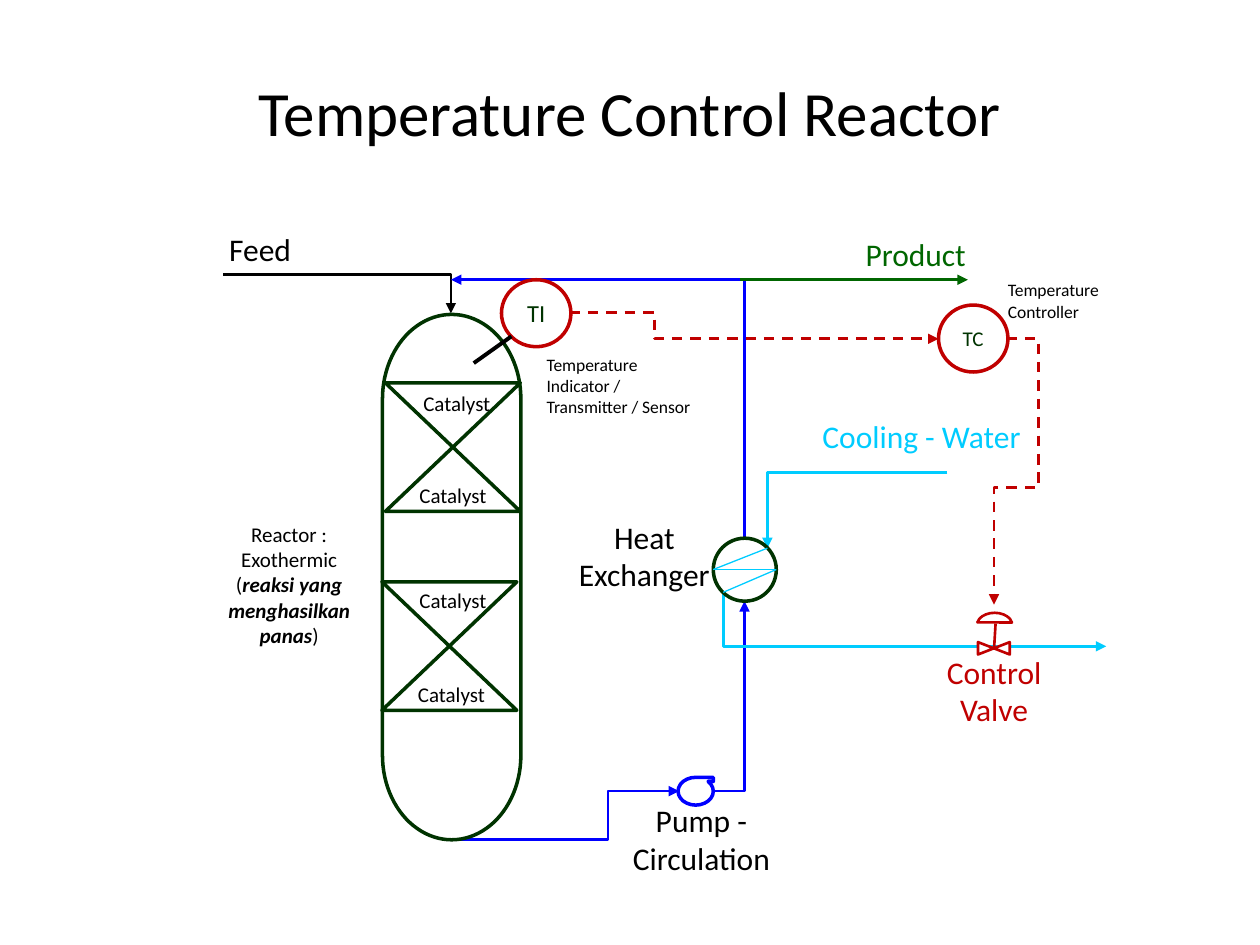
from math import cos, radians, sin

from lxml.etree import SubElement
from pptx import Presentation
from pptx.dml.color import RGBColor
from pptx.enum.dml import MSO_LINE
from pptx.enum.shapes import MSO_CONNECTOR, MSO_SHAPE
from pptx.enum.text import MSO_ANCHOR, MSO_AUTO_SIZE, PP_ALIGN
from pptx.oxml.ns import qn
from pptx.util import Cm, Pt

BLACK, BLUE, CYAN = "000000", "0000FF", "00CCFF"
RED, GREEN, DARK_GREEN = "C00000", "006600", "003300"
color = RGBColor.from_string

presentation = Presentation()
presentation.slide_width, presentation.slide_height = Cm(25.4), Cm(19.05)
slide = presentation.slides.add_slide(presentation.slide_layouts[6])


def add_line(start, end, hex_color, weight=1.5, bends=0, rotation=0,
             adjust=(), dashed=False, arrow=True):
    """Draw a line or elbow; its frame is turned back by the rotation."""
    (x1, y1), (x2, y2) = start, end
    middle_x, middle_y = (x1 + x2) / 2, (y1 + y2) / 2
    angle = radians(rotation)
    half_x = ((x2 - x1) * cos(angle) + (y2 - y1) * sin(angle)) / 2
    half_y = ((y2 - y1) * cos(angle) - (x2 - x1) * sin(angle)) / 2
    connector = slide.shapes.add_connector(
        MSO_CONNECTOR.ELBOW if bends else MSO_CONNECTOR.STRAIGHT,
        Cm(middle_x - half_x), Cm(middle_y - half_y),
        Cm(middle_x + half_x), Cm(middle_y + half_y))
    connector.line.color.rgb = color(hex_color)
    connector.line.width = Pt(weight)
    if dashed:
        connector.line.dash_style = MSO_LINE.DASH
    properties = connector._element.spPr
    if arrow:
        SubElement(properties.find(qn("a:ln")), qn("a:tailEnd"), type="triangle")
    SubElement(properties, qn("a:effectLst"))
    if rotation:
        properties.find(qn("a:xfrm")).set("rot", str(rotation * 60000))
    if bends:
        geometry = properties.find(qn("a:prstGeom"))
        geometry.set("prst", f"bentConnector{bends + 1}")
        for number, value in enumerate(adjust, 1):
            SubElement(geometry.find(qn("a:avLst")), qn("a:gd"),
                       name=f"adj{number}", fmla=f"val {round(value * 100000)}")


def write(paragraph, runs, size, hex_color, align):
    """Fill a paragraph with (text, emphasised) runs."""
    paragraph.alignment = align
    for text, emphasised in runs:
        run = paragraph.add_run()
        run.text = text
        run.font.color.rgb = color(hex_color)
        formats = {"name": "Calibri", "size": Pt(size),
                   "bold": emphasised, "italic": emphasised}
        for name, value in formats.items():
            setattr(run.font, name, value)


# Process pipes and signal lines
pipes = [
    dict(start=(4.5, 5.54), end=(9.09, 6.32), hex_color=BLACK, bends=1),
    dict(start=(9.07, 16.92), end=(13.69, 15.95), hex_color=BLUE, bends=2, adjust=[0.69]),
    dict(start=(15.01, 10.85), end=(9.09, 5.64), hex_color=BLUE, bends=1, rotation=270),
    dict(start=(14.35, 15.95), end=(15.01, 12.12), hex_color=BLUE, bends=1),
    dict(start=(14.91, 5.64), end=(19.51, 5.64), hex_color=GREEN),
    dict(start=(19.1, 9.53), end=(15.47, 11.05), hex_color=CYAN, bends=1, rotation=180),
    dict(start=(14.58, 11.94), end=(22.3, 13.03), hex_color=CYAN, bends=1, rotation=270),
    dict(start=(11.48, 6.3), end=(18.92, 6.83), hex_color=RED, bends=2, adjust=[0.23],
         dashed=True),
    dict(start=(20.29, 6.83), end=(20.04, 12.19), hex_color=RED, bends=3,
         adjust=[-2.58, 0.56], dashed=True),
]
for pipe in pipes:
    add_line(**pipe)

# Equipment: preset, box, rotation, outline, weight, white fill, tag, tag size
equipment = [
    (MSO_SHAPE.FLOWCHART_TERMINATOR, (3.81, 10.24, 10.59, 2.79), 90, DARK_GREEN, 2, False, "", 0),
    (MSO_SHAPE.FLOWCHART_COLLATE, (7.77, 7.72, 2.72, 2.59), 0, DARK_GREEN, 2, False, "", 0),
    (MSO_SHAPE.FLOWCHART_COLLATE, (7.7, 11.73, 2.72, 2.59), 0, DARK_GREEN, 2, False, "", 0),
    (MSO_SHAPE.FLOWCHART_SEQUENTIAL_ACCESS_STORAGE, (13.67, 15.67, 0.71, 0.56), 180, BLUE, 2,
     False, "", 0),
    (MSO_SHAPE.FLOWCHART_CONNECTOR, (14.38, 10.85, 1.27, 1.27), 0, DARK_GREEN, 2, True, "", 0),
    (MSO_SHAPE.FLOWCHART_COLLATE, (19.91, 12.75, 0.25, 0.64), 90, RED, 1.5, True, "", 0),
    (MSO_SHAPE.CHORD, (19.81, 12.24, 0.48, 0.71), 90, RED, 1.5, False, "", 0),
    (MSO_SHAPE.FLOWCHART_CONNECTOR, (10.11, 5.64, 1.4, 1.35), 0, RED, 2, False, "TI", 14),
    (MSO_SHAPE.FLOWCHART_CONNECTOR, (18.92, 6.15, 1.4, 1.35), 0, RED, 2, False, "TC", 12),
]
for preset, box, rotation, outline, weight, filled, tag, size in equipment:
    shape = slide.shapes.add_shape(preset, *map(Cm, box))
    shape.shadow.inherit = False
    shape.rotation = rotation
    shape.line.color.rgb = color(outline)
    shape.line.width = Pt(weight)
    if filled:
        shape.fill.solid()
        shape.fill.fore_color.rgb = color("FFFFFF")
    else:
        shape.fill.background()
    if preset == MSO_SHAPE.CHORD:
        shape.adjustments[0], shape.adjustments[1] = 58.75, 157.63
    if preset == MSO_SHAPE.FLOWCHART_SEQUENTIAL_ACCESS_STORAGE:
        shape._element.spPr.find(qn("a:xfrm")).set("flipH", "1")
    if tag:
        frame = shape.text_frame
        frame.vertical_anchor = MSO_ANCHOR.MIDDLE
        write(frame.paragraphs[0], [(tag, False)], size, DARK_GREEN, PP_ALIGN.CENTER)

# Exchanger coil, valve stem and sensor probe
coil = [(15.47, 11.05), (14.38, 11.48), (15.65, 11.48), (14.58, 11.94)]
for start, end in zip(coil, coil[1:]):
    add_line(start, end, CYAN, weight=0.75, arrow=False)
add_line((20.04, 13.06), (20.07, 12.57), RED, arrow=False)
add_line((10.31, 6.78), (9.55, 7.32), BLACK, weight=2.25, arrow=False)

# Labels: box, size, colour, alignment, paragraphs
LEFT, CENTER = PP_ALIGN.LEFT, PP_ALIGN.CENTER
labels = [
    ((4.37, 4.52, 1.93, 1.02), 18, BLACK, LEFT, ["Feed"]),
    ((12.5, 16.03, 3.28, 1.8), 18, BLACK, CENTER, ["Pump - Circulation"]),
    ((17.2, 4.62, 2.84, 1.02), 18, GREEN, LEFT, ["Product"]),
    ((16.33, 8.28, 4.6, 1.02), 18, CYAN, LEFT, ["Cooling - Water"]),
    ((11.1, 10.31, 3.78, 1.8), 18, BLACK, CENTER, ["Heat Exchanger"]),
    ((18.44, 13.03, 3.2, 1.8), 18, RED, CENTER, ["Control Valve"]),
    ((10.77, 7.01, 3.78, 1.12), 10, BLACK, LEFT,
     ["Temperature Indicator / Transmitter / Sensor"]),
    ((20.07, 5.51, 3.78, 1.12), 10, BLACK, LEFT, ["Temperature Controller"]),
    ((3.94, 10.39, 3.78, 2.82), 12, BLACK, CENTER,
     ["Reactor : Exothermic",
      [("(", False), ("reaksi yang menghasilkan panas", True), (")", False)]]),
]
for left, top in [(7.32, 7.75), (7.24, 9.6), (7.24, 11.71), (7.21, 13.61)]:
    labels.append(((left, top, 3.78, 0.76), 12, BLACK, CENTER, ["Catalyst"]))
for box, size, hex_color, align, texts in labels:
    frame = slide.shapes.add_textbox(*map(Cm, box)).text_frame
    frame.word_wrap = True
    frame.auto_size = MSO_AUTO_SIZE.SHAPE_TO_FIT_TEXT
    for index, text in enumerate(texts):
        paragraph = frame.add_paragraph() if index else frame.paragraphs[0]
        runs = [(text, False)] if isinstance(text, str) else text
        write(paragraph, runs, size, hex_color, align)

# Title
frame = slide.shapes.add_textbox(Cm(1.9), Cm(1.12), Cm(21.6), Cm(2.26)).text_frame
frame.word_wrap = True
frame.vertical_anchor = MSO_ANCHOR.MIDDLE
write(frame.paragraphs[0], [("Temperature Control Reactor", False)], 36, BLACK, CENTER)

presentation.save("out.pptx")
